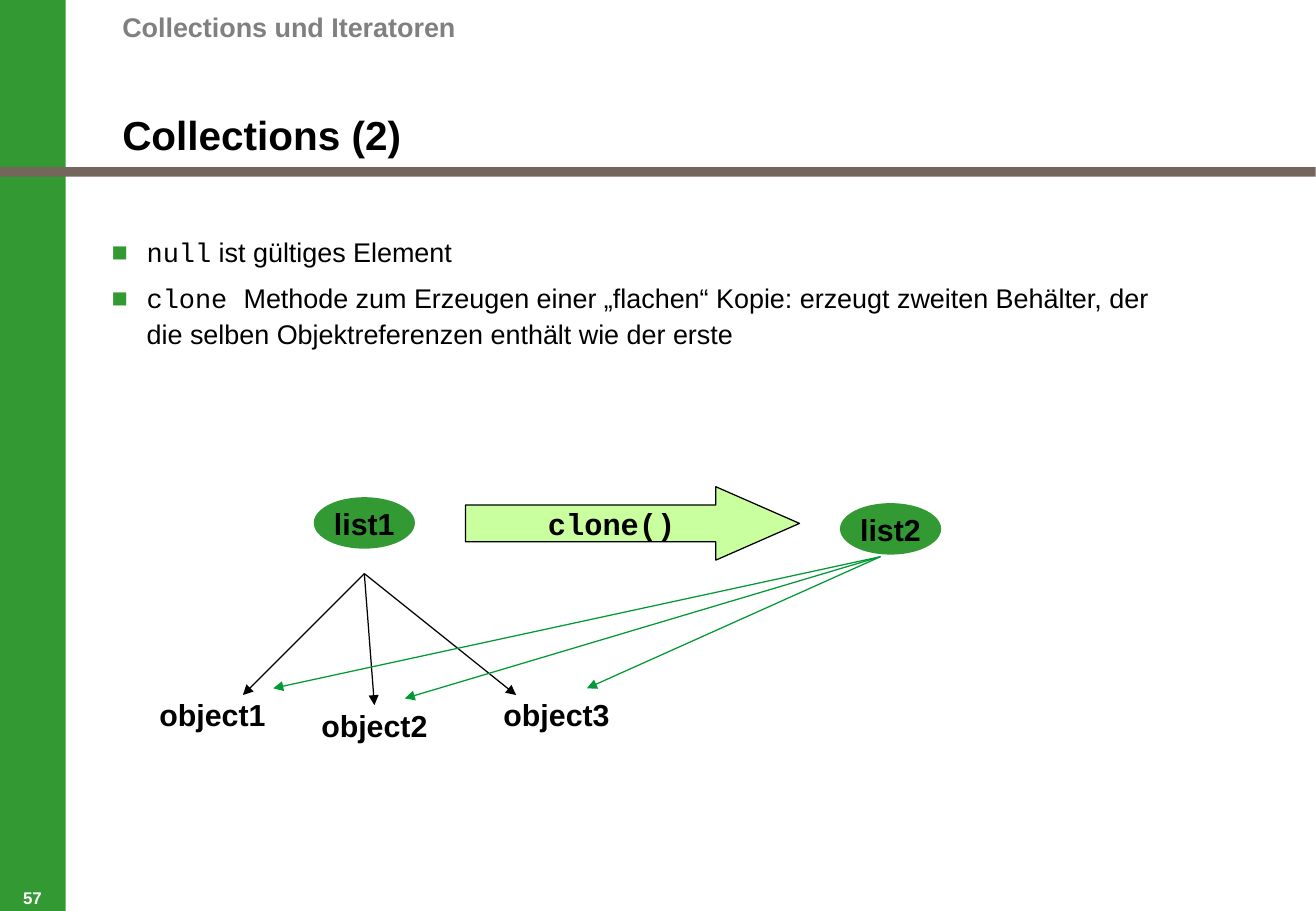
from lxml import etree
from pptx import Presentation
from pptx.dml.color import RGBColor
from pptx.enum.shapes import MSO_CONNECTOR, MSO_SHAPE
from pptx.enum.text import MSO_ANCHOR, PP_ALIGN
from pptx.oxml.ns import qn
from pptx.util import Pt

RECT, OVAL, ARROW = MSO_SHAPE.RECTANGLE, MSO_SHAPE.OVAL, MSO_SHAPE.RIGHT_ARROW
STRAIGHT = MSO_CONNECTOR.STRAIGHT
LEFT, CENTER = PP_ALIGN.LEFT, PP_ALIGN.CENTER
MIDDLE, BOTTOM = MSO_ANCHOR.MIDDLE, MSO_ANCHOR.BOTTOM

BLACK = RGBColor(0x00, 0x00, 0x00)
WHITE = RGBColor(0xFF, 0xFF, 0xFF)
GRAY = RGBColor(0x80, 0x80, 0x80)
GREEN = RGBColor(0x33, 0x99, 0x33)
LIME = RGBColor(0xCA, 0xFF, 0x9F)
BROWN = RGBColor(0x74, 0x65, 0x5D)
LINK_GREEN = RGBColor(0x00, 0x99, 0x33)

SANS, MONO = "Arial", "Courier New"


def add_filled(kind, left, top, width, height, color):
    sp = s.shapes.add_shape(kind, Pt(left), Pt(top), Pt(width), Pt(height))
    sp.shadow.inherit = False
    sp.fill.solid()
    sp.fill.fore_color.rgb = color
    sp.line.fill.background()
    return sp


def write(sp, text, size, color=BLACK, align=CENTER, anchor=MIDDLE, font=SANS, wrap=True):
    tf = sp.text_frame
    tf.margin_left = tf.margin_right = tf.margin_top = tf.margin_bottom = 0
    tf.word_wrap = wrap
    tf.vertical_anchor = anchor
    tf.text = text
    p = tf.paragraphs[0]
    p.alignment = align
    r = p.runs[0]
    r.font.name = font
    r.font.size = Pt(size)
    r.font.bold = True
    r.font.color.rgb = color


prs = Presentation()
prs.slide_width, prs.slide_height = Pt(780.25), Pt(540)
s = prs.slides.add_slide(prs.slide_layouts[6])

add_filled(RECT, 0, 0, 39, 540, GREEN)
add_filled(RECT, 0, 99, 780, 5.75, BROWN)

labels = [
    ("57", 0, 525.75, 38.5, 12.5, 10, WHITE, CENTER, BOTTOM, True),
    ("Collections (2)", 72.5, 32, 692.5, 62, 24, BLACK, LEFT, BOTTOM, True),
    ("Collections und Iteratoren", 72.5, 2, 594, 28, 16, GRAY, LEFT, MIDDLE, False),
    ("object1", 84, 412.75, 84, 22, 18, BLACK, CENTER, MIDDLE, True),
    ("object2", 180, 418.75, 84, 22, 18, BLACK, CENTER, MIDDLE, True),
    ("object3", 288, 412.75, 84, 22, 18, BLACK, CENTER, MIDDLE, True),
]
for text, left, top, width, height, size, color, align, anchor, wrap in labels:
    box = s.shapes.add_textbox(Pt(left), Pt(top), Pt(width), Pt(height))
    write(box, text, size, color, align, anchor, wrap=wrap)

body = s.shapes.add_textbox(Pt(66.25), Pt(138), Pt(637), Pt(108))
tf = body.text_frame
tf.word_wrap = True
tf.margin_left = tf.margin_right = tf.margin_top = tf.margin_bottom = 0
bullets = [
    ("null", " ist gültiges Element"),
    ("clone ", "Methode zum Erzeugen einer „flachen“ Kopie: erzeugt zweiten Behälter, "
               "der die selben Objektreferenzen enthält wie der erste"),
]
for i, (code, words) in enumerate(bullets):
    p = tf.add_paragraph() if i else tf.paragraphs[0]
    p.line_spacing = 1.1
    if i:
        p.space_before = Pt(6)
    pPr = p._p.get_or_add_pPr()
    pPr.set("marL", str(Pt(20.75)))
    pPr.set("indent", str(-Pt(20.75)))
    bullet_color = etree.SubElement(pPr, qn("a:buClr"))
    etree.SubElement(bullet_color, qn("a:srgbClr"), val=str(GREEN))
    etree.SubElement(pPr, qn("a:buFont"), typeface=SANS)
    etree.SubElement(pPr, qn("a:buChar"), char="■")
    for text, font in ((code, MONO), (words, SANS)):
        r = p.add_run()
        r.text = text
        r.font.name = font
        r.font.size = Pt(16)
        r.font.color.rgb = BLACK

for name, left, top in (("list1", 186, 294.75), ("list2", 498, 298.25)):
    write(add_filled(OVAL, left, top, 60, 30.5, GREEN), name, 18)

clone_arrow = add_filled(ARROW, 276, 288.5, 198, 43.5, LIME)
clone_arrow.adjustments[0] = 0.5
clone_arrow.adjustments[1] = 1.14
clone_arrow.line.color.rgb = BLACK
clone_arrow.line.width = Pt(0.75)
write(clone_arrow, "clone()", 18, font=MONO)

references = [
    ((216, 340), BLACK, [(306, 412), (222, 418), (144, 412)]),
    ((522, 330), LINK_GREEN, [(162, 408), (240, 414), (348, 408)]),
]
for (x, y), color, targets in references:
    for end_x, end_y in targets:
        link = s.shapes.add_connector(STRAIGHT, Pt(x), Pt(y), Pt(end_x), Pt(end_y))
        link.line.color.rgb = color
        link.line.width = Pt(0.75)
        etree.SubElement(link.line._get_or_add_ln(), qn("a:tailEnd"), type="triangle")
        etree.SubElement(link._element.spPr, qn("a:effectLst"))

prs.save("out.pptx")
